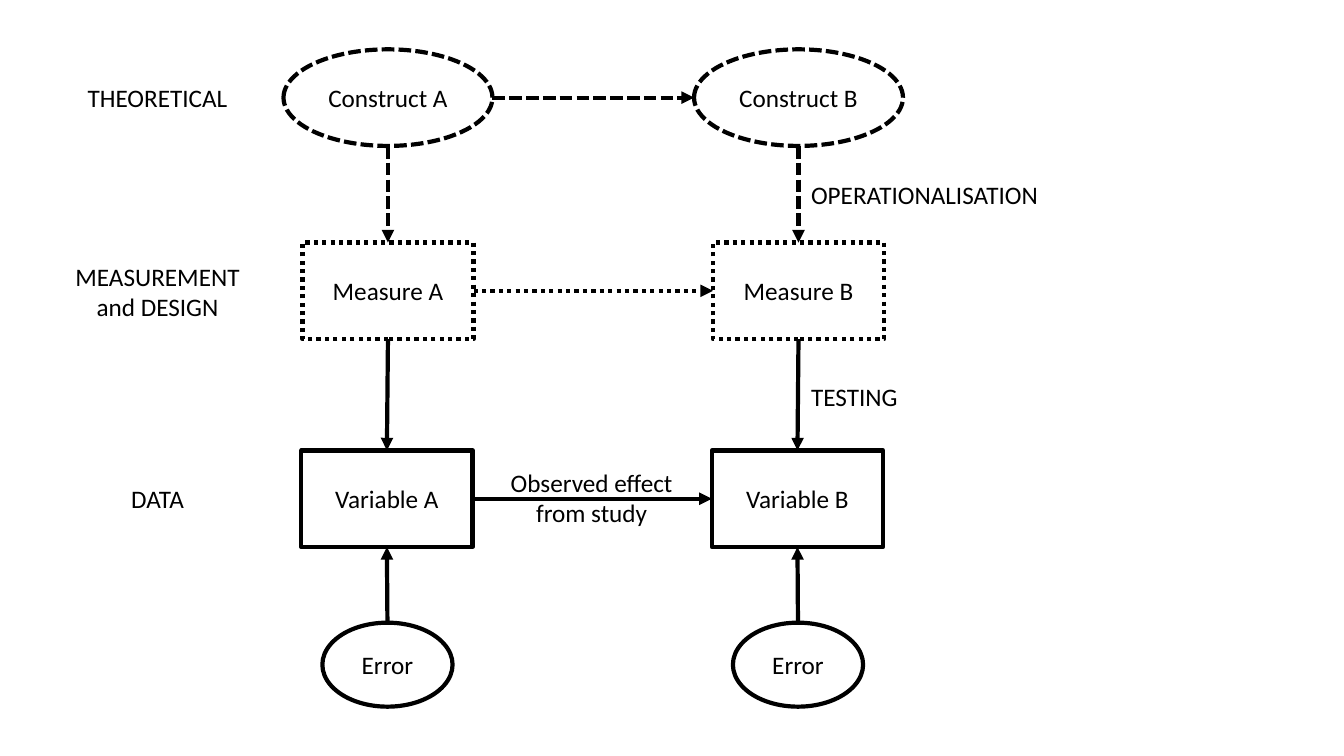
"""Build a slide linking constructs, measures, variables and errors."""
from lxml import etree
from pptx import Presentation
from pptx.dml.color import RGBColor
from pptx.enum.dml import MSO_LINE
from pptx.enum.shapes import MSO_CONNECTOR, MSO_SHAPE
from pptx.enum.text import MSO_ANCHOR, MSO_AUTO_SIZE, PP_ALIGN
from pptx.oxml.ns import qn
from pptx.util import Pt

PX = 9525
COLUMN_STEP = 391
TOP, LEFT, BOTTOM, RIGHT = range(4)
ELLIPSE, RECTANGLE = MSO_SHAPE.OVAL, MSO_SHAPE.RECTANGLE
DASHED, DOTTED, SOLID = MSO_LINE.SQUARE_DOT, MSO_LINE.ROUND_DOT, None
STRAIGHT = MSO_CONNECTOR.STRAIGHT
CENTER, START = PP_ALIGN.CENTER, PP_ALIGN.LEFT
COLORS = {"ink": "000000"}
INK = RGBColor.from_string(COLORS["ink"])
FONT = {"name": "Calibri", "size": Pt(18)}
LINE = {"width": Pt(3)}


def write(frame, lines, alignment):
    frame.word_wrap = True
    for index, line in enumerate(lines):
        paragraph = frame.add_paragraph() if index else frame.paragraphs[0]
        paragraph.alignment = alignment
        run = paragraph.add_run()
        run.text = line
        for name, value in FONT.items():
            setattr(run.font, name, value)
        run.font.color.rgb = INK


def style_line(line, dash):
    line.color.rgb = INK
    for name, value in {**LINE, "dash_style": dash}.items():
        setattr(line, name, value)


presentation = Presentation()
presentation.slide_width = 1280 * PX
presentation.slide_height = 720 * PX
slide = presentation.slides.add_slide(presentation.slide_layouts[6])

NODES = [
    ("Construct", ELLIPSE, 270, 47, 199, 92, DASHED),
    ("Measure", RECTANGLE, 288, 231, 163, 92, DOTTED),
    ("Variable", RECTANGLE, 287, 429, 163, 92, SOLID),
    ("Error", ELLIPSE, 307, 593, 124, 80, SOLID),
]
nodes = {}
for kind, geometry, left, top, width, height, dash in NODES:
    for column, letter in enumerate("AB"):
        shape = slide.shapes.add_shape(
            geometry, (left + column * COLUMN_STEP) * PX, top * PX, width * PX, height * PX)
        shape.shadow.inherit = False
        shape.fill.background()
        style_line(shape.line, dash)
        shape.text_frame.vertical_anchor = MSO_ANCHOR.MIDDLE
        write(shape.text_frame, [kind if kind == "Error" else f"{kind} {letter}"], CENTER)
        nodes[kind, letter] = shape

ARROWS = []
for letter in "AB":
    ARROWS += [
        (("Construct", letter), BOTTOM, ("Measure", letter), TOP, DASHED),
        (("Measure", letter), BOTTOM, ("Variable", letter), TOP, SOLID),
        (("Error", letter), TOP, ("Variable", letter), BOTTOM, SOLID),
    ]
for kind, dash in (("Variable", SOLID), ("Measure", DOTTED), ("Construct", DASHED)):
    ARROWS.append(((kind, "A"), RIGHT, (kind, "B"), LEFT, dash))

for source, source_side, target, target_side, dash in ARROWS:
    ends = []
    for key, side in ((source, source_side), (target, target_side)):
        node = nodes[key]
        across, down = {TOP: (1, 0), LEFT: (0, 1), BOTTOM: (1, 2), RIGHT: (2, 1)}[side]
        ends += [node.left + node.width * across // 2, node.top + node.height * down // 2]
    connector = slide.shapes.add_connector(STRAIGHT, *ends)
    for connect, key, side in (
        (connector.begin_connect, source, source_side),
        (connector.end_connect, target, target_side),
    ):
        if nodes[key].auto_shape_type == RECTANGLE or side == TOP:
            connect(nodes[key], side)
    style_line(connector.line, dash)
    properties = connector.element.spPr
    etree.SubElement(properties.find(qn("a:ln")), qn("a:tailEnd"), type="triangle")
    etree.SubElement(properties, qn("a:effectLst"))

LABELS = [
    (["THEORETICAL"], 60, 74, 180, 38, CENTER),
    (["MEASUREMENT", "and DESIGN"], 60, 244, 180, 68, CENTER),
    (["DATA"], 60, 456, 180, 38, CENTER),
    (["OPERATIONALISATION"], 763, 166, 273, 38, START),
    (["TESTING"], 763, 358, 273, 38, START),
    (["Observed effect from study"], 472, 440, 183, 68, CENTER),
]
for lines, left, top, width, height, alignment in LABELS:
    label = slide.shapes.add_textbox(left * PX, top * PX, width * PX, height * PX)
    label.text_frame.auto_size = MSO_AUTO_SIZE.SHAPE_TO_FIT_TEXT
    write(label.text_frame, lines, alignment)

presentation.save("out.pptx")
